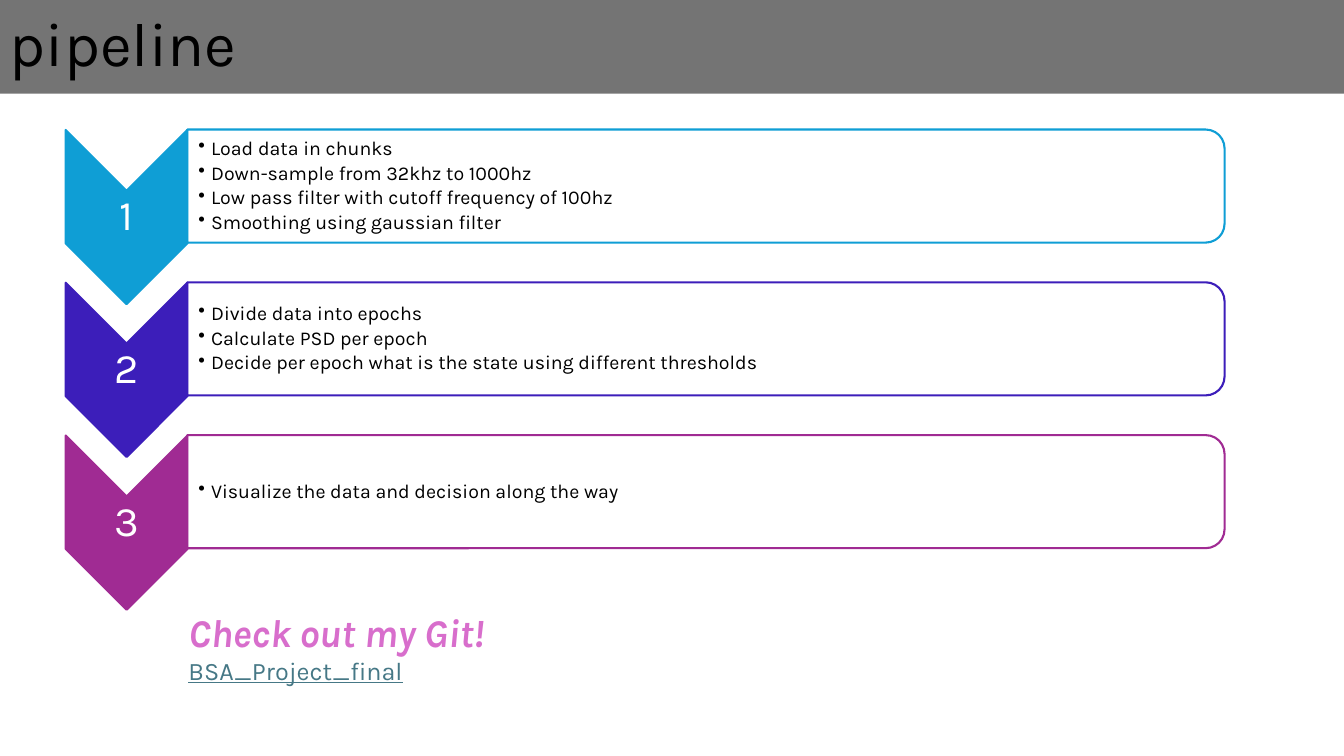
"""Build the pipeline slide: three numbered steps and a closing line."""
from lxml.etree import SubElement
from pptx import Presentation
from pptx.dml.color import RGBColor
from pptx.enum.shapes import MSO_SHAPE
from pptx.enum.text import MSO_ANCHOR, PP_ALIGN
from pptx.oxml.ns import qn
from pptx.util import Cm, Pt

TITLE = "pipeline"
STEPS = [
    ("0F9ED5", ["Load data in chunks",
                "Down-sample from 32khz to 1000hz",
                "Low pass filter with cutoff frequency of 100hz",
                "Smoothing using gaussian filter"]),
    ("3C1EBA", ["Divide data into epochs",
                "Calculate PSD per epoch",
                "Decide per epoch what is the state using different thresholds"]),
    ("A02B93", ["Visualize the data and decision along the way"]),
]
INVITATION = "Check out my Git!"
PROJECT = "BSA_Project_final"

THEME = {
    "font": "Karla", "ink": "000000", "paper": "FFFFFF", "band": "747474",
    "invitation": "D86ECC", "project": "467886",
    "title_size": 44, "number_size": 30, "item_size": 14,
    "invitation_size": 28, "project_size": 18,
}
PAGE_WIDTH, PAGE_HEIGHT = 33.87, 19.05
BAND_HEIGHT = 2.36
STEP_PITCH = 3.85
CHEVRON_X, CHEVRON_Y = 3.19, 5.47
CHEVRON_LENGTH, CHEVRON_BREADTH = 4.39, 3.07
PANEL_LEFT, PANEL_Y = 4.72, 4.69
PANEL_WIDTH, PANEL_HEIGHT = 26.14, 2.85
ITEM_INDENT = 0.32


def write(paragraph, text, size, color, bold=False, italic=False,
          underline=False, align=PP_ALIGN.LEFT, spacing=0.9, after=0, bullet=False):
    """Put formatted text into a paragraph."""
    paragraph.alignment = align
    paragraph.line_spacing = spacing
    paragraph.space_after = Pt(after)
    if bullet:
        properties = paragraph._p.get_or_add_pPr()
        properties.set("marL", str(Cm(ITEM_INDENT)))
        properties.set("indent", str(-Cm(ITEM_INDENT)))
        SubElement(properties, qn("a:buChar")).set("char", "•")
    span = paragraph.add_run()
    span.text = text
    font = span.font
    font.name, font.size = THEME["font"], Pt(size)
    font.bold, font.italic, font.underline = bold, italic, underline
    font.color.rgb = RGBColor.from_string(color)


def add_outline(page, preset, center, size, fill, line=None, rotation=0):
    """Add a preset shape around a center point."""
    (x, y), (width, height) = center, size
    shape = page.shapes.add_shape(
        preset, Cm(x - width / 2), Cm(y - height / 2), Cm(width), Cm(height))
    shape.rotation = rotation
    shape.shadow.inherit = False
    shape.fill.solid()
    shape.fill.fore_color.rgb = RGBColor.from_string(fill)
    if line:
        shape.line.color.rgb = RGBColor.from_string(line)
        shape.line.width = Pt(1.5)
    else:
        shape.line.fill.background()
    return shape


def add_text_box(page, left, top, width, height, margins=None, anchor=MSO_ANCHOR.MIDDLE):
    """Add a wrapping text box and return its frame."""
    frame = page.shapes.add_textbox(Cm(left), Cm(top), Cm(width), Cm(height)).text_frame
    frame.word_wrap = True
    frame.vertical_anchor = anchor
    if margins:
        frame.margin_left, frame.margin_top = Cm(margins[0]), Cm(margins[1])
        frame.margin_right, frame.margin_bottom = Cm(margins[1]), Cm(margins[1])
    return frame


def add_step(page, index, color, items):
    """Add one numbered chevron with its panel of items."""
    shift = index * STEP_PITCH
    chevron_y, panel_y = CHEVRON_Y + shift, PANEL_Y + shift
    add_outline(page, MSO_SHAPE.CHEVRON, (CHEVRON_X, chevron_y),
                (CHEVRON_LENGTH, CHEVRON_BREADTH), color, color, rotation=90)
    number = add_text_box(page, CHEVRON_X - CHEVRON_BREADTH / 2, chevron_y - 0.66,
                          CHEVRON_BREADTH, 1.32, margins=(0.05, 0.05))
    write(number.paragraphs[0], str(index + 1), THEME["number_size"],
          THEME["paper"], align=PP_ALIGN.CENTER)

    panel = add_outline(page, MSO_SHAPE.ROUND_2_SAME_RECTANGLE,
                        (PANEL_LEFT + PANEL_WIDTH / 2, panel_y),
                        (PANEL_HEIGHT, PANEL_WIDTH), THEME["paper"], color, rotation=90)
    tint = panel._element.spPr.find(qn("a:solidFill"))[0]
    SubElement(tint, qn("a:alpha")).set("val", "90000")
    frame = add_text_box(page, PANEL_LEFT, panel_y - 1.28, 26.01, 2.57, margins=(0.28, 0.03))
    for position, item in enumerate(items):
        paragraph = frame.add_paragraph() if position else frame.paragraphs[0]
        write(paragraph, item, THEME["item_size"], THEME["ink"], after=2.4, bullet=True)


def main():
    """Assemble and save the deck."""
    deck = Presentation()
    deck.slide_width, deck.slide_height = Cm(PAGE_WIDTH), Cm(PAGE_HEIGHT)
    page = deck.slides.add_slide(deck.slide_layouts[6])

    band = add_outline(page, MSO_SHAPE.RECTANGLE, (PAGE_WIDTH / 2, BAND_HEIGHT / 2),
                       (PAGE_WIDTH, BAND_HEIGHT), THEME["band"])
    band.text_frame.vertical_anchor = MSO_ANCHOR.MIDDLE
    write(band.text_frame.paragraphs[0], TITLE, THEME["title_size"], THEME["ink"])

    for index, (color, items) in enumerate(STEPS):
        add_step(page, index, color, items)

    closing = add_text_box(page, 4.5, 15.21, 14.1, 2.24, anchor=MSO_ANCHOR.TOP)
    write(closing.paragraphs[0], INVITATION, THEME["invitation_size"],
          THEME["invitation"], bold=True, italic=True, spacing=1.0)
    write(closing.add_paragraph(), PROJECT, THEME["project_size"],
          THEME["project"], underline=True, spacing=1.0)
    deck.save("out.pptx")


if __name__ == "__main__":
    main()
